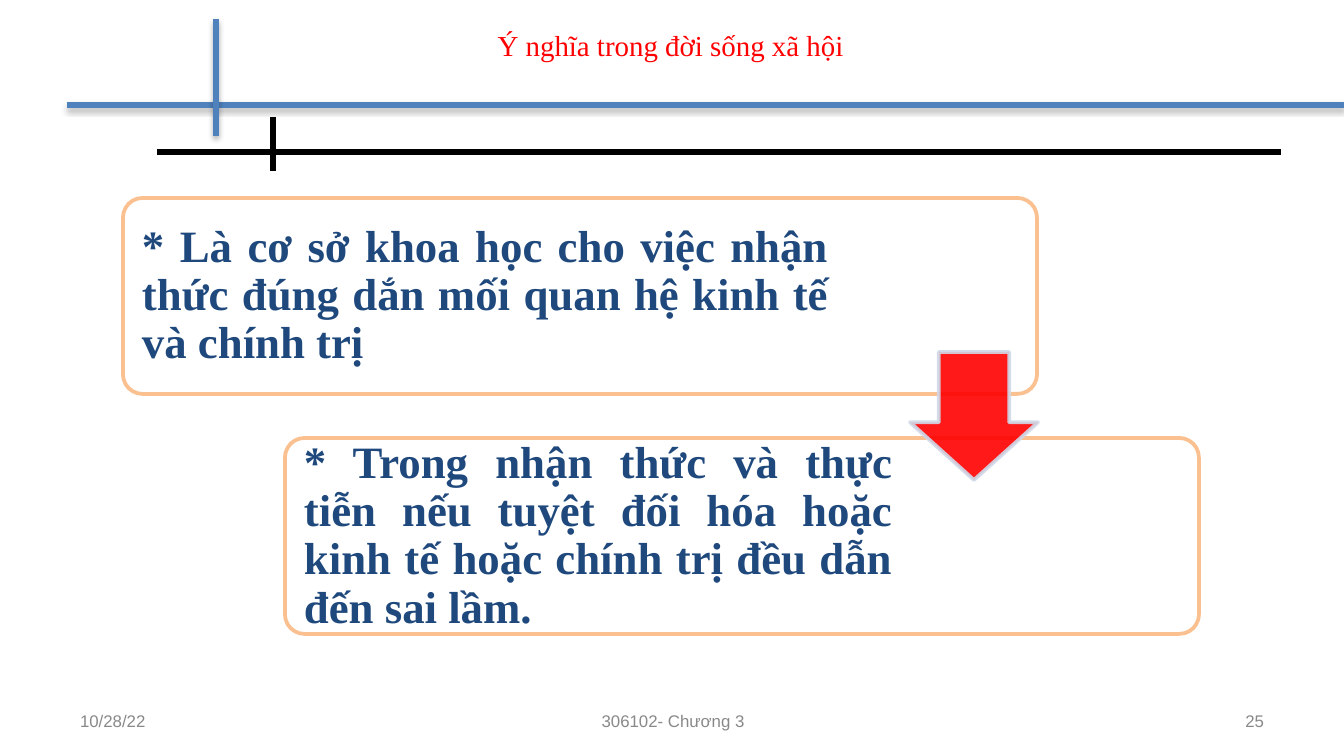
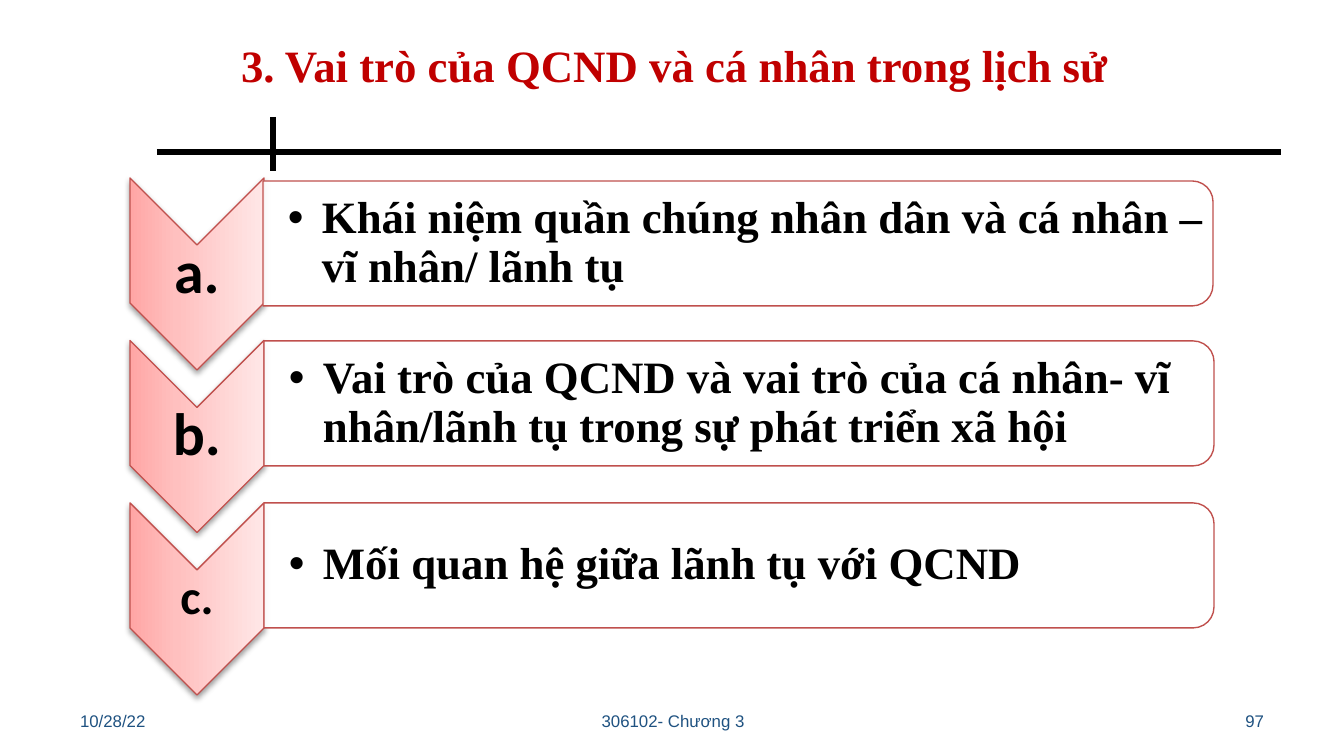
from dataclasses import dataclass

from lxml import etree
from pptx import Presentation
from pptx import util as u
from pptx.dml.color import RGBColor
from pptx.enum import shapes, text
from pptx.oxml import ns

# Content
FOOTER_DATE, FOOTER_NAME = "10/28/22", "306102- Chương 3"

MEANING = {
    "title": "Ý nghĩa trong đời sống xã hội",
    "number": "25",
    # text, card left, card top, text width
    "cards": [
        ("* Là cơ sở khoa học cho việc nhận thức đúng dắn mối quan hệ kinh tế và chính trị",
         123, 198, 712),
        ("* Trong nhận thức và thực tiễn nếu tuyệt đối hóa hoặc kinh tế hoặc chính trị "
         "đều dẫn đến sai lầm.", 285, 438, 614),
    ],
}

ROLES = {
    "title": "3. Vai trò của QCND và cá nhân trong lịch sử",
    "number": "97",
    # label, label size, text, panel left, panel top
    "rows": [
        ("a.", 32, "Khái niệm quần chúng nhân dân và cá nhân – vĩ nhân/ lãnh tụ", 263, 181),
        ("b.", 32, "Vai trò của QCND và vai trò của cá nhân- vĩ nhân/lãnh tụ "
                   "trong sự phát triển xã hội", 264, 341),
        ("c.", 26, "Mối quan hệ giữa lãnh tụ với QCND", 264, 503),
    ],
}


@dataclass(frozen=True)
class Theme:
    serif: str = "Times New Roman"
    sans: str = "Arial"
    label: str = "Calibri"
    black: str = "000000"
    white: str = "FFFFFF"
    red: str = "FF0000"
    dark_red: str = "C00000"
    navy: str = "1F497D"
    blue: str = "4F81BD"
    orange: str = "FAC090"
    pale_blue: str = "D0D8E8"
    brick: str = "C0504D"
    gray: str = "898989"
    footer_blue: str = "1F5281"
    blush: tuple = ((0, "FFA6A5"), (35, "FFC0BF"), (100, "FFE7E7"))
    title_size: float = 15.5
    text_size: int = 24
    footer_size: int = 9


THEME = Theme()
ALIGN, ANCHOR, SHAPE = text.PP_ALIGN, text.MSO_ANCHOR, shapes.MSO_SHAPE


def px(length):
    return u.Emu(round(length * 914400 / 134.4))


def add_xml(parent, tag, **attributes):
    return etree.SubElement(parent, ns.qn(tag), {k: str(v) for k, v in attributes.items()})


def add_effect(props, blur=0, distance=0, opacity=0):
    """Replace the theme effect with a downward shadow, or with none."""
    for old in props.findall(ns.qn("a:effectLst")):
        props.remove(old)
    effects = add_xml(props, "a:effectLst")
    if opacity:
        shadow = add_xml(effects, "a:outerShdw", blurRad=blur, dist=distance,
                         dir=5400000, rotWithShape=0)
        color = add_xml(shadow, "a:srgbClr", val=THEME.black)
        add_xml(color, "a:alpha", val=opacity * 1000)


def set_opacity(props, opacity):
    for color in props.findall(".//" + ns.qn("a:srgbClr")):
        add_xml(color, "a:alpha", val=opacity * 1000)


def set_gradient(props, stops, angle):
    gradient = etree.Element(ns.qn("a:gradFill"), rotWithShape="1")
    stop_list = add_xml(gradient, "a:gsLst")
    for position, color in stops:
        stop = add_xml(stop_list, "a:gs", pos=position * 1000)
        add_xml(stop, "a:srgbClr", val=color)
    add_xml(gradient, "a:lin", ang=angle * 60000, scaled=1)
    props.replace(props.find(ns.qn("a:solidFill")), gradient)


def write(box, words, *, size, color, font=THEME.serif, bold=False, align=ALIGN.LEFT,
          anchor=ANCHOR.MIDDLE, insets=(13, 7, 13, 7), spacing=1.0, bullet_indent=0):
    frame = box.text_frame
    frame.word_wrap = True
    frame.auto_size = text.MSO_AUTO_SIZE.NONE
    frame.vertical_anchor = anchor
    (frame.margin_left, frame.margin_top,
     frame.margin_right, frame.margin_bottom) = map(px, insets)
    para = frame.paragraphs[0]
    para.alignment, para.line_spacing = align, spacing
    if bullet_indent:
        props = para._p.get_or_add_pPr()
        props.set("marL", str(px(bullet_indent)))
        props.set("indent", str(-px(bullet_indent)))
        add_xml(props, "a:buFont", typeface=THEME.sans)
        add_xml(props, "a:buChar", char="•")
    span = para.add_run()
    span.text = words
    span.font.name, span.font.size, span.font.bold = font, u.Pt(size), bold
    span.font.color.rgb = RGBColor.from_string(color)


def add_text(page, place, words, **style):
    write(page.shapes.add_textbox(*map(px, place)), words, **style)


def set_title(page, place, words, **style):
    title = page.shapes.title
    title.left, title.top, title.width, title.height = map(px, place)
    write(title, words, **style)


def add_block(page, kind, place, fill, line, *, weight=0.75, adjust=(), turned=False):
    """Draw a shape; place is the area it covers, also after a quarter turn."""
    left, top, width, height = place
    if turned:
        left, top = left + (width - height) / 2, top + (height - width) / 2
        width, height = height, width
    block = page.shapes.add_shape(kind, *map(px, (left, top, width, height)))
    block.rotation = 90 if turned else 0
    for index, value in enumerate(adjust):
        block.adjustments[index] = value
    block.shadow.inherit = False
    block.fill.solid()
    block.fill.fore_color.rgb = RGBColor.from_string(fill)
    block.line.color.rgb = RGBColor.from_string(line)
    block.line.width = u.Pt(weight)
    return block


def add_rule(page, ends, color):
    rule = page.shapes.add_connector(shapes.MSO_CONNECTOR.STRAIGHT, *map(px, ends))
    rule.line.color.rgb = RGBColor.from_string(color)
    rule.line.width = u.Pt(3)
    add_effect(rule._element.spPr)
    return rule


def add_footer(page, number, color):
    parts = [(67, 313, FOOTER_DATE, ALIGN.LEFT), (460, 426, FOOTER_NAME, ALIGN.CENTER),
             (964, 313, number, ALIGN.RIGHT)]
    for left, width, words, align in parts:
        add_text(page, (left, 701, width, 40), words, size=THEME.footer_size,
                 color=color, font=THEME.sans, align=align)


def add_master_rules(deck, page):
    """Draw the black cross rules once, on the slide master."""
    tree = deck.slide_master.shapes._spTree
    for ends in ((157, 152, 1281, 152), (273, 117, 273, 171)):
        tree.append(add_rule(page, ends, THEME.black)._element)


def build_meaning(page):
    set_title(page, (91, 0, 1159, 95), MEANING["title"], size=THEME.title_size,
              color=THEME.red, align=ALIGN.CENTER, spacing=0.9)
    # Cards
    for words, left, top, text_width in MEANING["cards"]:
        add_block(page, SHAPE.ROUNDED_RECTANGLE, (left, top, 914, 196), THEME.white,
                  THEME.orange, weight=2, adjust=[0.1])
        add_text(page, (left + 6, top + 6, text_width, 184), words, size=THEME.text_size,
                 color=THEME.navy, bold=True, align=ALIGN.JUSTIFY, spacing=0.9,
                 insets=(13, 13, 13, 13))
    # Arrow between the cards
    arrow = add_block(page, SHAPE.DOWN_ARROW, (910, 352, 128, 128), THEME.red,
                      THEME.pale_blue, weight=2, adjust=[0.55, 0.45])
    set_opacity(arrow._element.spPr, 90)
    # Blue cross rules
    for ends in ((67, 105, 1344, 105), (216, 19, 216, 136)):
        rule = add_rule(page, ends, THEME.blue)
        add_effect(rule._element.spPr, blur=40000, distance=23000, opacity=35)
    add_footer(page, MEANING["number"], THEME.gray)


def build_roles(page):
    set_title(page, (228, 31, 1027, 67), ROLES["title"], size=THEME.text_size,
              color=THEME.dark_red, bold=True, align=ALIGN.JUSTIFY, anchor=ANCHOR.TOP)
    for index, (label, label_size, words, left, top) in enumerate(ROLES["rows"]):
        # Chevron and its letter
        chevron_top = 178 + 162.5 * index
        chevron = add_block(page, SHAPE.CHEVRON, (130, chevron_top, 134, 192),
                            THEME.white, THEME.brick, adjust=[0.5], turned=True)
        set_gradient(chevron._element.spPr, THEME.blush, 270)
        add_effect(chevron._element.spPr, blur=40000, distance=20000, opacity=38)
        add_text(page, (130, chevron_top + 67, 134, 58), label, size=label_size,
                 color=THEME.black, font=THEME.label, bold=True, align=ALIGN.CENTER,
                 spacing=0.9, insets=(3, 3, 3, 3))
        # Panel and its bullet
        panel = add_block(page, SHAPE.ROUND_2_SAME_RECTANGLE, (left, top, 950, 125),
                          THEME.white, THEME.brick, turned=True)
        set_opacity(panel._element.spPr.find(ns.qn("a:solidFill")), 90)
        add_text(page, (left, top + 6, 945, 113), words, size=THEME.text_size,
                 color=THEME.black, bold=True, spacing=0.9, insets=(25, 3, 3, 3),
                 bullet_indent=34)
    add_footer(page, ROLES["number"], THEME.footer_blue)


def main():
    deck = Presentation()
    deck.slide_width, deck.slide_height = px(1344), px(756)
    title_only = deck.slide_layouts[5]
    meaning, roles = (deck.slides.add_slide(title_only) for _ in range(2))
    add_master_rules(deck, meaning)
    build_meaning(meaning)
    build_roles(roles)
    deck.save("out.pptx")


if __name__ == "__main__":
    main()
